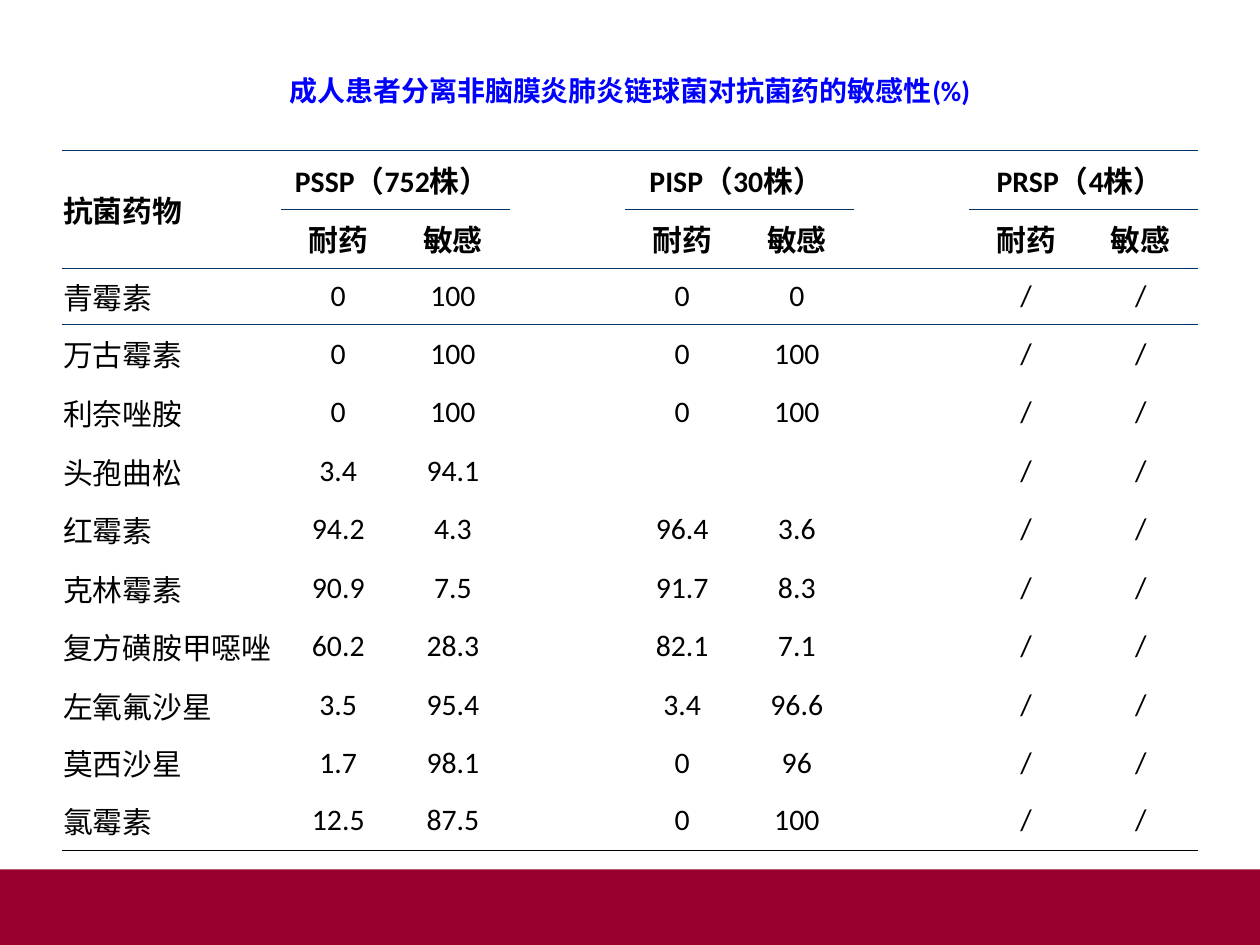
from lxml import etree
from pptx import Presentation
from pptx.dml.color import RGBColor
from pptx.enum import shapes, text
from pptx.oxml import ns
from pptx.util import Inches, Pt

TITLE = "成人患者分离非脑膜炎肺炎链球菌对抗菌药的敏感性(%)"
DRUG_HEADING = "抗菌药物"
GROUPS = ["PSSP（752株） ", "PISP（30株） ", "PRSP（4株） "]
MEASURES = ["耐药", "敏感"]
# drug, then one (resistant, susceptible) pair per group
DRUGS = [
    ("青霉素", ("0", "100"), ("0", "0"), ("/", "/")),
    ("万古霉素", ("0", "100"), ("0", "100"), ("/", "/")),
    ("利奈唑胺", ("0", "100"), ("0", "100"), ("/", "/")),
    ("头孢曲松", ("3.4", "94.1"), ("", ""), ("/", "/")),
    ("红霉素", ("94.2", "4.3"), ("96.4", "3.6"), ("/", "/")),
    ("克林霉素", ("90.9", "7.5"), ("91.7", "8.3"), ("/", "/")),
    ("复方磺胺甲噁唑", ("60.2", "28.3"), ("82.1", "7.1"), ("/", "/")),
    ("左氧氟沙星", ("3.5", "95.4"), ("3.4", "96.6"), ("/", "/")),
    ("莫西沙星", ("1.7", "98.1"), ("0", "96"), ("/", "/")),
    ("氯霉素", ("12.5", "87.5"), ("0", "100"), ("/", "/")),
]
ROW_HEIGHTS = [0.47, 0.47, 0.44, 0.47, 0.46, 0.47, 0.46, 0.47, 0.46, 0.47, 0.38, 0.47]
NAME_WIDTH, VALUE_WIDTH = 1.74, 0.91
HEADER_ROWS = 2
GROUP_STEP = len(MEASURES) + 1  # two measures and an empty spacer column

THEME = {
    "font": "Calibri", "title_size": 16, "table_size": 17, "rule_width": 0.45,
    "title": "0000FF", "ink": "000000", "rule": "003366", "band": "98002E",
}
NO_STYLE = "{2D5ABB26-0587-4C30-8999-92F81FD0307C}"


def write(tf, content, size, color="ink", bold=False, align=text.PP_ALIGN.CENTER):
    tf.vertical_anchor = text.MSO_ANCHOR.MIDDLE
    p = tf.paragraphs[0]
    p.alignment = align
    r = p.add_run()
    r.text = content
    r.font.name = THEME["font"]
    r.font.size = Pt(THEME[size])
    r.font.bold = bold
    r.font.color.rgb = RGBColor.from_string(THEME[color])


def write_cell(cell, content, **style):
    cell.margin_left = cell.margin_right = Inches(0.01)
    cell.margin_top = cell.margin_bottom = Inches(0.05)
    cell.vertical_anchor = text.MSO_ANCHOR.MIDDLE
    if content:
        write(cell.text_frame, content, "table_size", **style)


def draw_rules(cell, **sides):
    """Add cell borders, given as top= and bottom= theme colour names."""
    tc_pr = cell._tc.get_or_add_tcPr()
    tags = [("a:lnT", sides.get("top")), ("a:lnB", sides.get("bottom"))]
    for i, (tag, color) in enumerate((t, c) for t, c in tags if c):
        ln = etree.Element(ns.qn(tag), w=str(Pt(THEME["rule_width"])))
        fill = etree.SubElement(ln, ns.qn("a:solidFill"))
        etree.SubElement(fill, ns.qn("a:srgbClr"), val=THEME[color])
        tc_pr.insert(i, ln)


def rules_for(row, col, last_row):
    in_group = col % GROUP_STEP != 0
    sides = {}
    if row in (0, HEADER_ROWS) or (row == 1 and in_group):
        sides["top"] = "rule"
    if row == 1 or (row == 0 and in_group):
        sides["bottom"] = "rule"
    if row == last_row:
        sides["bottom"] = "ink"
    return sides


def add_susceptibility_table(slide):
    n_rows, n_cols = HEADER_ROWS + len(DRUGS), GROUP_STEP * len(GROUPS)
    width = NAME_WIDTH + VALUE_WIDTH * (n_cols - 1)
    table = slide.shapes.add_table(
        n_rows, n_cols, Inches(0.49), Inches(1.19),
        Inches(width), Inches(sum(ROW_HEIGHTS))).table
    table.first_row = table.horz_banding = False
    table._tbl.tblPr.find(ns.qn("a:tableStyleId")).text = NO_STYLE
    for i, column in enumerate(table.columns):
        column.width = Inches(VALUE_WIDTH if i else NAME_WIDTH)
    for row, height in zip(table.rows, ROW_HEIGHTS):
        row.height = Inches(height)

    grid = {(0, 0): DRUG_HEADING}
    for g, group in enumerate(GROUPS):
        first = 1 + g * GROUP_STEP
        grid[0, first] = group
        for m, measure in enumerate(MEASURES):
            grid[1, first + m] = measure
            for d, drug in enumerate(DRUGS):
                grid[HEADER_ROWS + d, first + m] = drug[1 + g][m]
        table.cell(0, first).merge(table.cell(0, first + len(MEASURES) - 1))
    for d, drug in enumerate(DRUGS):
        grid[HEADER_ROWS + d, 0] = drug[0]
    table.cell(0, 0).merge(table.cell(1, 0))

    for row in range(n_rows):
        for col in range(n_cols):
            cell = table.cell(row, col)
            cell.fill.background()
            write_cell(cell, grid.get((row, col)), bold=row < HEADER_ROWS,
                       align=text.PP_ALIGN.CENTER if col else text.PP_ALIGN.LEFT)
            draw_rules(cell, **rules_for(row, col, n_rows - 1))


def main():
    prs = Presentation()
    prs.slide_width, prs.slide_height = Inches(10), Inches(7.5)
    slide = prs.slides.add_slide(prs.slide_layouts[5])

    band = slide.shapes.add_shape(
        shapes.MSO_SHAPE.RECTANGLE, 0, Inches(6.9), prs.slide_width, Inches(0.6))
    band.shadow.inherit = False
    band.fill.solid()
    band.fill.fore_color.rgb = RGBColor.from_string(THEME["band"])
    band.line.fill.background()

    title = slide.shapes.title
    title.left, title.top = 0, Inches(0.4)
    title.width, title.height = prs.slide_width, Inches(0.64)
    write(title.text_frame, TITLE, "title_size", color="title", bold=True)

    add_susceptibility_table(slide)
    prs.save("out.pptx")


if __name__ == "__main__":
    main()
